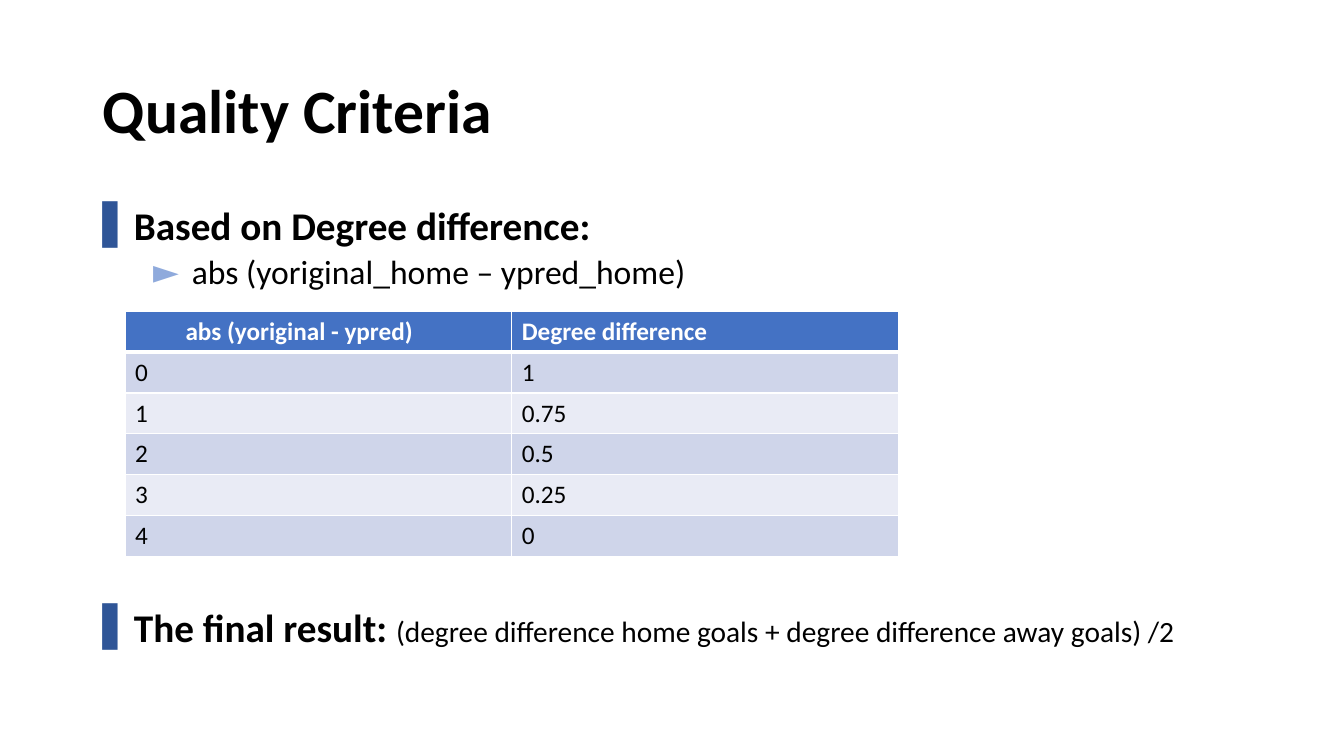
from dataclasses import dataclass

import pptx
import pptx.dml.color
import pptx.enum.text
import pptx.oxml
import pptx.oxml.ns
import pptx.util
from pptx.util import Inches


@dataclass(frozen=True)
class Theme:
    font: str = "Calibri"
    ink: str = "000000"
    paper: str = "FFFFFF"
    header: str = "4472C4"
    bands: tuple = ("CFD5EA", "E9EBF5")
    bar: str = "2F5597"
    arrow: str = "8FAADC"
    title_size: int = 44
    heading_size: int = 28
    detail_size: int = 24
    result_size: int = 21
    table_size: int = 18


def rgb(value):
    return pptx.dml.color.RGBColor.from_string(value)


def xml(source):
    namespace = pptx.oxml.ns.nsdecls("a")
    return pptx.oxml.parse_xml(source.replace(">", f" {namespace}>", 1))


def add_text(paragraph, text, *, size, color, font, bold=False):
    run = paragraph.add_run()
    run.text = text
    run.font.name = font
    run.font.size = pptx.util.Pt(size)
    run.font.bold = bold
    run.font.color.rgb = rgb(color)


def set_indent(paragraph, left, first_line=0):
    properties = paragraph._p.get_or_add_pPr()
    properties.set("marL", str(Inches(left)))
    properties.set("indent", str(Inches(first_line)))
    return properties


def add_bullet(paragraph, char, color, font, left):
    """Give the paragraph a coloured bullet that hangs left of its text."""
    properties = set_indent(paragraph, left, -0.31)
    properties.append(xml(f'<a:buClr><a:srgbClr val="{color}"/></a:buClr>'))
    properties.append(xml(f'<a:buFont typeface="{font}"></a:buFont>'))
    properties.append(xml(f'<a:buChar char="{char}"></a:buChar>'))


def add_border(cell, side, color, points):
    width = pptx.util.Pt(points)
    cell._tc.get_or_add_tcPr().append(xml(
        f'<a:ln{side} w="{width}"><a:solidFill><a:srgbClr val="{color}"/>'
        f"</a:solidFill></a:ln{side}>"))


class SlideBuilder:
    def __init__(self, deck, theme):
        self.theme = theme
        self.slide = deck.slides.add_slide(deck.slide_layouts[5])

    def themed_text(self, paragraph, text, size, bold=False, color=None):
        add_text(paragraph, text, size=size, bold=bold,
                 color=color or self.theme.ink, font=self.theme.font)

    def title(self, text, left, top, width, height):
        title = self.slide.shapes.title
        title.left, title.top = Inches(left), Inches(top)
        title.width, title.height = Inches(width), Inches(height)
        frame = title.text_frame
        frame.auto_size = pptx.enum.text.MSO_AUTO_SIZE.NONE
        frame.vertical_anchor = pptx.enum.text.MSO_ANCHOR.MIDDLE
        paragraph = frame.paragraphs[0]
        paragraph.alignment = pptx.enum.text.PP_ALIGN.LEFT
        paragraph.line_spacing = 0.9
        self.themed_text(paragraph, text, self.theme.title_size, bold=True)

    def point(self, heading, left, top, width, height, remark="", detail=""):
        """Add a barred heading, with a remark beside it or a detail below."""
        theme = self.theme
        box = self.slide.shapes.add_textbox(
            Inches(left), Inches(top), Inches(width), Inches(height))
        frame = box.text_frame
        frame.word_wrap = True
        first = frame.paragraphs[0]
        first.line_spacing = 0.9
        add_bullet(first, "▌", theme.bar, theme.font, 0.31)
        self.themed_text(first, heading, theme.heading_size, bold=True)
        if remark:
            self.themed_text(first, remark, theme.result_size)
        if detail:
            second = frame.add_paragraph()
            second.level = 1
            second.line_spacing = 0.9
            second.space_before = pptx.util.Pt(5)
            add_bullet(second, "►", theme.arrow, theme.font, 0.81)
            self.themed_text(second, detail, theme.detail_size)

    def table(self, rows, left, top, width, height):
        theme = self.theme
        table = self.slide.shapes.add_table(
            len(rows), len(rows[0]), Inches(left), Inches(top),
            Inches(width), Inches(height)).table
        for r, row in enumerate(rows):
            is_header = r == 0
            fill = theme.header if is_header else theme.bands[(r - 1) % 2]
            for c, text in enumerate(row):
                cell = table.cell(r, c)
                for side in "LRTB":
                    under_header = (r, side) in ((0, "B"), (1, "T"))
                    add_border(cell, side, theme.paper, 3 if under_header else 1)
                cell.fill.solid()
                cell.fill.fore_color.rgb = rgb(fill)
                self.themed_text(
                    cell.text_frame.paragraphs[0], text, theme.table_size,
                    is_header, theme.paper if is_header else theme.ink)
        set_indent(table.cell(0, 0).text_frame.paragraphs[0], 0.5)


def main():
    deck = pptx.Presentation()
    deck.slide_width, deck.slide_height = Inches(13.33), Inches(7.5)
    page = SlideBuilder(deck, Theme())
    left, width = 0.92, 11.5
    page.title("Quality Criteria", left, 0.4, width, 1.45)
    page.point("Based on Degree difference:", left, 2, width, 1,
               detail=" abs (yoriginal_home – ypred_home)")
    page.table([
        ("abs (yoriginal - ypred)", "Degree difference"),
        ("0", "1"),
        ("1", "0.75"),
        ("2", "0.5"),
        ("3", "0.25"),
        ("4", "0"),
    ], 1.24, 3.09, 7.67, 2.43)
    page.point("The final result: ", left, 5.99, width, 0.6,
               remark="(degree difference home goals + degree difference away goals) /2")
    deck.save("out.pptx")


if __name__ == "__main__":
    main()
